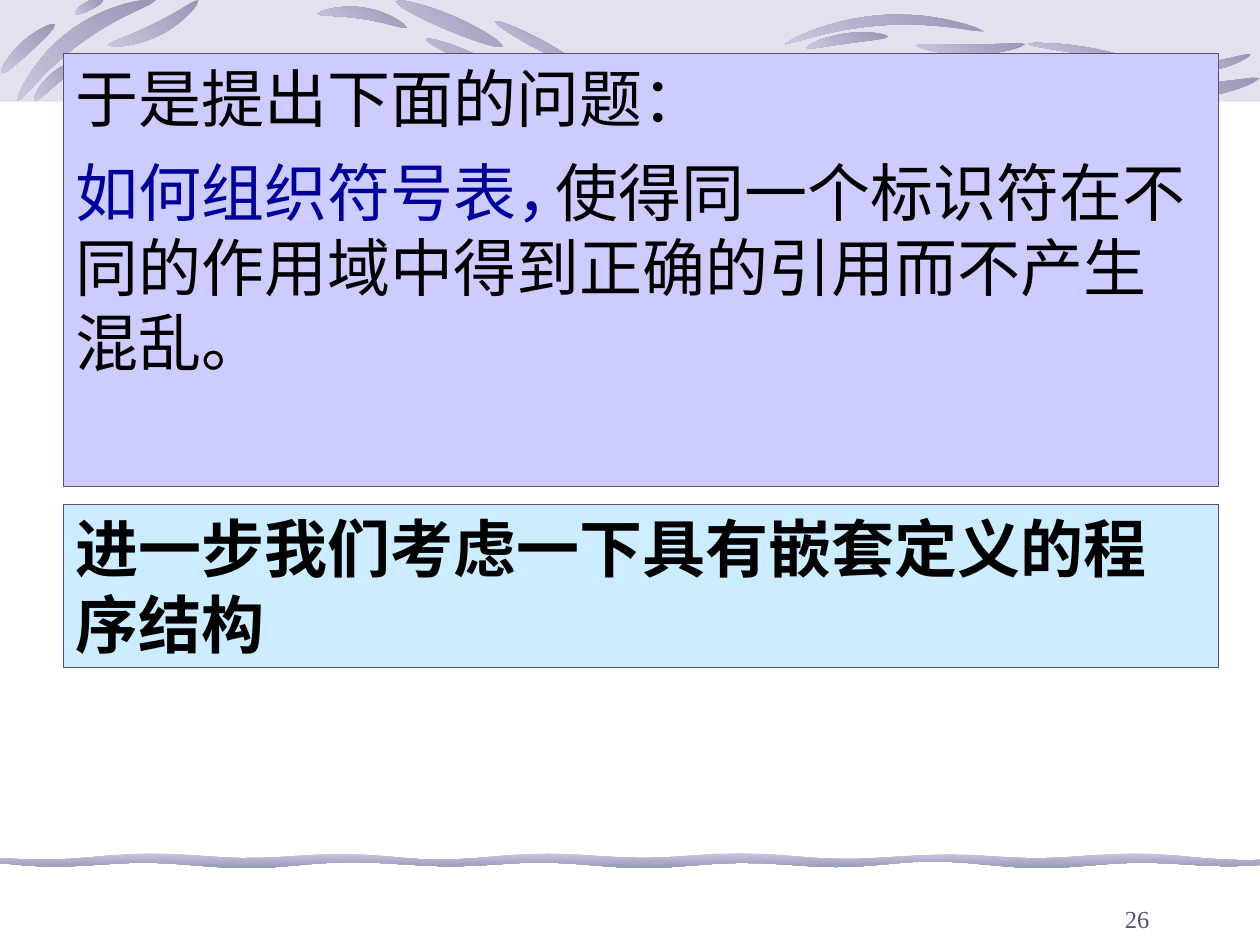
from dataclasses import dataclass
from math import hypot, pi, sin

from lxml import etree
from pptx import Presentation
from pptx.dml.color import RGBColor
from pptx.enum.shapes import MSO_SHAPE
from pptx.enum.text import MSO_ANCHOR, MSO_AUTO_SIZE, PP_ALIGN
from pptx.oxml.ns import qn
from pptx.util import Cm, Pt

RECT = MSO_SHAPE.RECTANGLE
TOP, BOTTOM = MSO_ANCHOR.TOP, MSO_ANCHOR.BOTTOM
LEFT, RIGHT = PP_ALIGN.LEFT, PP_ALIGN.RIGHT
FIXED = MSO_AUTO_SIZE.NONE


@dataclass(frozen=True)
class Theme:
    dark: str = "9797B7"
    pale: str = "C7C7DF"
    lilac: str = "CCCCFF"
    sky: str = "CCECFF"
    edge: str = "545472"
    ink: str = "000000"
    navy: str = "000099"
    sans: str = "Noto Sans CJK JP"
    serif: str = "Times New Roman"
    large: int = 36
    small: int = 14
    lead: int = 43


LOOK = Theme()
UNIT = Cm(2.54) / 1000  # one drawing step; strokes below use ten of them
STEPS = 24

# Brush strokes: start x, y, end x, y, upward bow, thickness
STROKES = [
    (1, 58, 44, 19, 2, 10), (14, 80, 124, 0, 14, 13), (27, 80, 65, 48, 3, 9),
    (60, 11, 82, 0, 1, 7), (86, 36, 158, 0, -6, 10), (252, 11, 323, 22, 6, 9),
    (314, 1, 399, 37, 1, 12), (338, 31, 412, 65, 1, 9), (393, 17, 458, 51, 0, 8),
    (623, 35, 781, 25, 14, 8), (640, 38, 705, 29, 3, 8), (727, 36, 814, 35, -4, 8),
    (816, 35, 907, 50, 2, 6), (864, 58, 1000, 62, -12, 12), (924, 55, 993, 43, -4, 7),
]
# Footer ribbons: start and end x
WAVES = [(705, 1000), (302, 758), (0, 353)]


def arc(x1, y1, x2, y2, bow, thick):
    """Outline of a bowed stroke with rounded ends."""
    dx, dy = x2 - x1, y2 - y1
    size = hypot(dx, dy)

    def edge(t, side):
        off = bow * 4 * t * (1 - t) + side * thick / 2 * abs(sin(pi * t)) ** 0.5
        return x1 + dx * t + off * dy / size, y1 + dy * t - off * dx / size

    return ribbon(edge)


def wave(start, end):
    """Outline of a gently swaying ribbon."""
    def edge(t, side):
        x = start + (end - start) * t
        swell = 2 + 2 * sin(pi * t)
        return x, 7 + 2 * sin(x / 25) - side * swell

    return ribbon(edge)


def ribbon(edge):
    steps = [i / STEPS for i in range(STEPS + 1)]
    return [edge(t, 1) for t in steps] + [edge(t, -1) for t in reversed(steps)]


def paint(slide, box, dots, tones, angle):
    left, top, width, height = box
    pts = [(min(max(x * 10, 0), width / UNIT), min(max(y * 10, 0), height / UNIT))
           for x, y in dots]
    pen = slide.shapes.build_freeform(*pts[0], scale=UNIT)
    pen.add_line_segments(pts[1:], close=True)
    shape = pen.convert_to_shape(left, top)
    shape.shadow.inherit = False
    shape.line.fill.background()
    shape.fill.gradient()
    shape.fill.gradient_angle = 360 - angle
    for stop, tone in zip(shape.fill.gradient_stops, tones):
        stop.color.rgb = RGBColor.from_string(tone)


def header(slide, box):
    band = slide.shapes.add_shape(RECT, *box)
    band.shadow.inherit = False
    band.line.fill.background()
    band.fill.solid()
    band.fill.fore_color.rgb = RGBColor.from_string(LOOK.pale)
    tone = band._element.spPr.find(".//" + qn("a:srgbClr"))
    etree.SubElement(tone, qn("a:alpha"), val="50000")
    for stroke in STROKES:
        paint(slide, box, arc(*stroke), (LOOK.dark, LOOK.pale), 135)


def footer(slide, box):
    for span in WAVES:
        paint(slide, box, wave(*span), (LOOK.pale, LOOK.dark), 90)


def write(shape, box, text, tone, face=LOOK.sans, size=LOOK.large, bold=False,
          align=LEFT, anchor=TOP, indent=0):
    shape.left, shape.top, shape.width, shape.height = box
    frame = shape.text_frame
    frame.text = text
    frame.word_wrap = True
    frame.auto_size = FIXED
    frame.vertical_anchor = anchor
    para = frame.paragraphs[0]
    para.alignment = align
    para.space_before = Pt(0)
    if size == LOOK.large:
        para.line_spacing = Pt(LOOK.lead)
    props = para._p.get_or_add_pPr()
    props.set("marL", "0")
    props.set("indent", str(indent))
    etree.SubElement(props, qn("a:buNone"))
    run = para.runs[0]
    font = run.font
    font.name, font.size, font.bold = face, Pt(size), bold
    font.color.rgb = RGBColor.from_string(tone)
    etree.SubElement(run._r.get_or_add_rPr(), qn("a:ea"), typeface=LOOK.sans)


def panel(slide, shape, box, text, fill, **style):
    slide.shapes._spTree.append(shape._element)  # bring to front
    write(shape, box, text, LOOK.ink, **style)
    shape.fill.solid()
    shape.fill.fore_color.rgb = RGBColor.from_string(fill)
    shape.line.color.rgb = RGBColor.from_string(LOOK.edge)
    shape.line.width = Pt(0.25)


def label(slide, box, text, tone, **style):
    write(slide.shapes.add_textbox(*box), box, text, tone, **style)


def question(slide, box):
    left, top, width, _ = box
    panel(slide, slide.shapes.title, box, "于是提出下面的问题：", LOOK.lilac)
    below = top + Cm(1.9)
    label(slide, (left, below, width, Cm(1.78)), "如何组织符号表，", LOOK.navy)
    # The sentence goes on to the right of the blue words
    label(slide, (left, below, width, Cm(4.83)),
          "使得同一个标识符在不同的作用域中得到正确的引用而不产生混乱。",
          LOOK.ink, indent=Cm(9.68))


def main():
    deck = Presentation()
    deck.slide_width, deck.slide_height = Cm(25.4), Cm(19.05)
    slide = deck.slides.add_slide(deck.slide_layouts[1])
    # Painted decoration
    header(slide, (0, 0, Cm(25.4), Cm(2.05)))
    footer(slide, (0, Cm(17.17), Cm(25.4), Cm(0.38)))
    # Text panels
    question(slide, (Cm(1.27), Cm(1.07), Cm(23.29), Cm(8.74)))
    panel(slide, slide.placeholders[1], (Cm(1.27), Cm(10.16), Cm(23.29), Cm(3.3)),
          "进一步我们考虑一下具有嵌套定义的程序结构", LOOK.sky,
          face=LOOK.serif, bold=True)
    # Page number
    label(slide, (Cm(18.14), Cm(17.68), Cm(5.28), Cm(1.27)), "26", LOOK.edge,
          face=LOOK.serif, size=LOOK.small, align=RIGHT, anchor=BOTTOM)
    deck.save("out.pptx")


if __name__ == "__main__":
    main()
